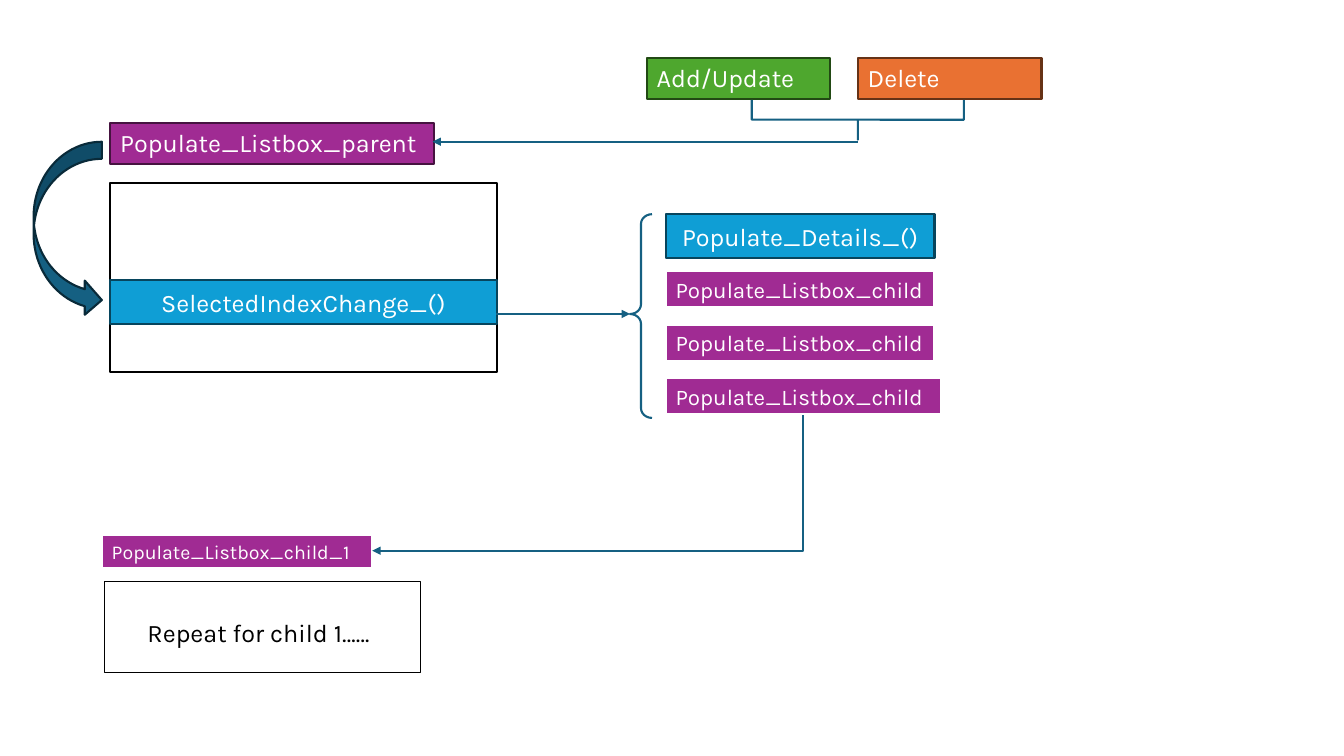
from lxml import etree
from pptx import Presentation
from pptx import util as u
from pptx.dml.color import RGBColor
from pptx.enum import shapes, text
from pptx.oxml.ns import qn

PX = 9525
FONT = "Karla"
WHITE = RGBColor(0xFF, 0xFF, 0xFF)
BLACK = RGBColor(0, 0, 0)
PURPLE = RGBColor(0xA0, 0x2B, 0x93)
DARK_PURPLE = RGBColor(0x46, 0x13, 0x40)
BLUE = RGBColor(0x0F, 0x9E, 0xD5)
DARK_BLUE = RGBColor(0x07, 0x45, 0x5D)
GREEN = RGBColor(0x4E, 0xA7, 0x2E)
DARK_GREEN = RGBColor(0x22, 0x49, 0x14)
ORANGE = RGBColor(0xE9, 0x71, 0x32)
DARK_ORANGE = RGBColor(0x66, 0x32, 0x16)
TEAL = RGBColor(0x15, 0x60, 0x82)
DARK_TEAL = RGBColor(0x09, 0x2A, 0x39)
MSO = shapes.MSO_SHAPE


def px(*lengths):
    return [u.Emu(n * PX) for n in lengths]


def add_shape(s, kind, at, fill, line, width=1.5, adjust=()):
    sp = s.shapes.add_shape(kind, *px(*at))
    sp.shadow.inherit = False
    if fill is None:
        sp.fill.background()
    else:
        sp.fill.solid()
        sp.fill.fore_color.rgb = fill
    sp.line.color.rgb = line
    sp.line.width = u.Pt(width)
    for i, value in enumerate(adjust):
        sp.adjustments[i] = value
    return sp


def write(sp, words, size, color, wrap):
    tf = sp.text_frame
    tf.word_wrap = wrap
    p = tf.paragraphs[0]
    p.text = words
    p.font.name = FONT
    p.font.size = u.Pt(size)
    p.font.color.rgb = color
    return tf, p


def add_label(s, at, words, fill, line, width=1.5, size=18, wrap=True):
    sp = add_shape(s, MSO.RECTANGLE, at, fill, line, width)
    tf, p = write(sp, words, size, WHITE, wrap)
    tf.auto_size = text.MSO_AUTO_SIZE.SHAPE_TO_FIT_TEXT
    tf.vertical_anchor = text.MSO_ANCHOR.TOP
    p.alignment = text.PP_ALIGN.LEFT


def add_handler(s, at, words):
    sp = add_shape(s, MSO.RECTANGLE, at, BLUE, DARK_BLUE)
    tf, p = write(sp, words, 18, WHITE, True)
    tf.vertical_anchor = text.MSO_ANCHOR.MIDDLE
    p.alignment = text.PP_ALIGN.CENTER


def add_arrow(s, kind, start, end):
    c = s.shapes.add_connector(kind, *px(*start, *end))
    c.line.color.rgb = TEAL
    c.line.width = u.Pt(1.5)
    ln = c._element.spPr.find(qn("a:ln"))
    etree.SubElement(ln, qn("a:tailEnd"), type="triangle")
    etree.SubElement(c._element.spPr, qn("a:effectLst"))
    return c


def add_down_left_arrow(s, start, end):
    c = add_arrow(s, shapes.MSO_CONNECTOR.ELBOW, start, end)
    (x1, y1), (x2, y2) = start, end
    w, h = y2 - y1, x1 - x2
    c.left, c.top, c.width, c.height = px(
        (x1 + x2 - w) // 2, (y1 + y2 - h) // 2, w, h)
    spPr = c._element.spPr
    xfrm = spPr.find(qn("a:xfrm"))
    xfrm.attrib.pop("flipH", None)
    xfrm.set("rot", str(90 * 60000))
    spPr.find(qn("a:prstGeom")).set("prst", "bentConnector2")


def main():
    prs = Presentation()
    prs.slide_width, prs.slide_height = px(1280, 720)
    s = prs.slides.add_slide(prs.slide_layouts[6])
    straight = shapes.MSO_CONNECTOR.STRAIGHT

    add_label(s, (105, 117, 308, 39), "Populate_Listbox_parent",
              PURPLE, DARK_PURPLE, wrap=False)
    add_label(s, (97, 509, 258, 32), "Populate_Listbox_child_1",
              PURPLE, WHITE, 2, 14)
    add_shape(s, MSO.RECTANGLE, (105, 174, 368, 180), WHITE, BLACK)
    add_handler(s, (105, 267, 368, 42), "SelectedIndexChange_()")

    add_label(s, (616, 55, 175, 39), "Add/Update", GREEN, DARK_GREEN)
    add_label(s, (817, 55, 175, 39), "Delete", ORANGE, DARK_ORANGE)

    add_handler(s, (634, 204, 256, 42), "Populate_Details_()")
    children = [(256, False), (256, False), (263, True)]
    for i, (width, wrap) in enumerate(children):
        add_label(s, (634, 258 + 51 * i, width, 35),
                  "Populate_Listbox_child", PURPLE, WHITE, 2, 16, wrap)

    add_shape(s, MSO.LEFT_BRACE, (600, 204, 21, 194), None, TEAL,
              adjust=(0.44, 0.49))
    add_arrow(s, straight, (472, 299), (600, 299))
    add_shape(s, MSO.RECTANGLE, (100, 554, 301, 87), None, BLACK, 0.75)
    buttons_brace = add_shape(s, MSO.RIGHT_BRACE, (798, 13, 38, 202), None,
                              TEAL, adjust=(0, 0.5))
    buttons_brace.rotation = 90
    add_arrow(s, straight, (817, 135), (412, 135))
    add_shape(s, MSO.CURVED_RIGHT_ARROW, (32, 135, 65, 167), TEAL, DARK_TEAL)
    add_down_left_arrow(s, (765, 396), (355, 525))

    note = s.shapes.add_textbox(*px(131, 583, 241, 39))
    tf, p = write(note, "Repeat for child 1……", 18, BLACK, False)
    tf.auto_size = text.MSO_AUTO_SIZE.SHAPE_TO_FIT_TEXT

    prs.save("out.pptx")


if __name__ == "__main__":
    main()
